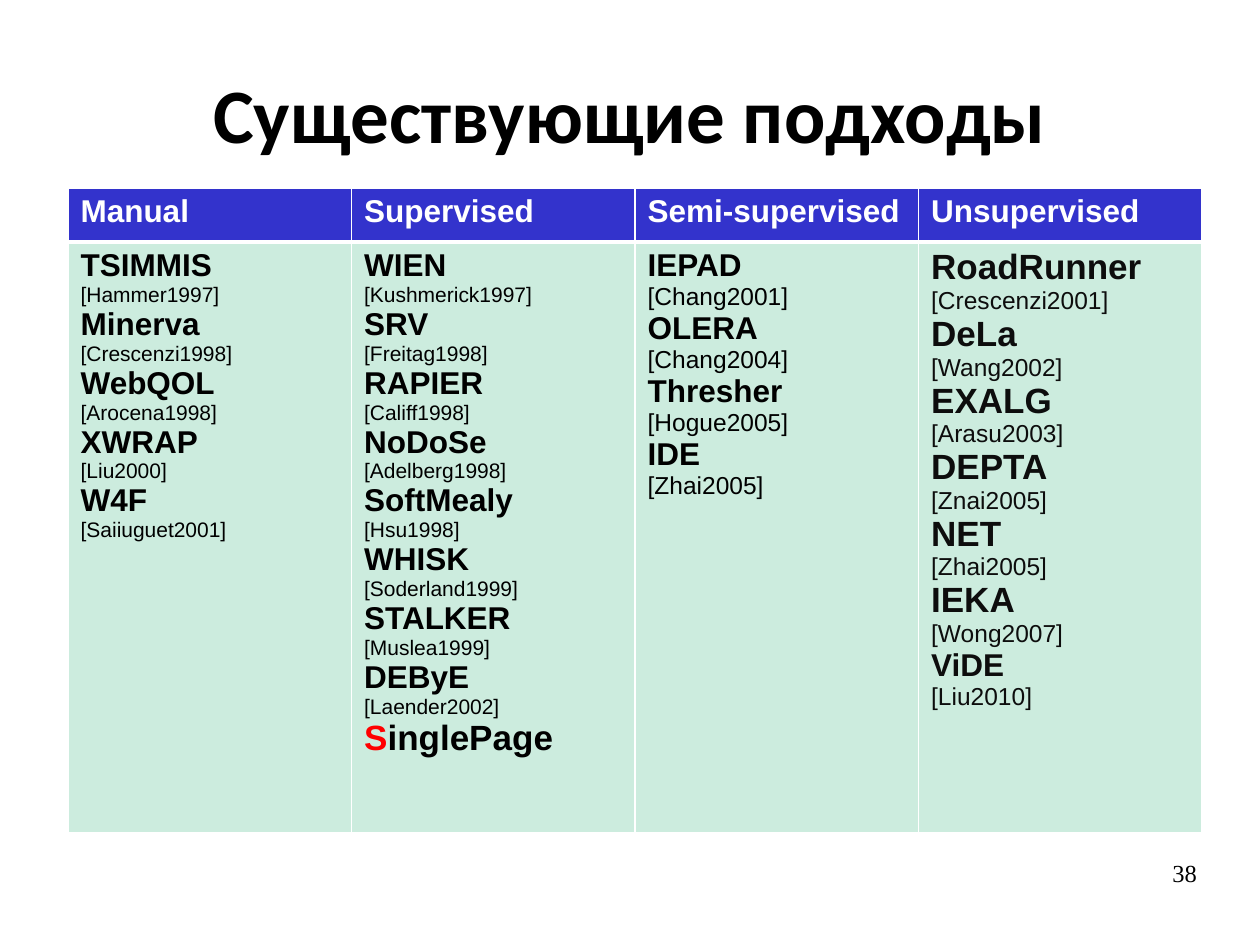
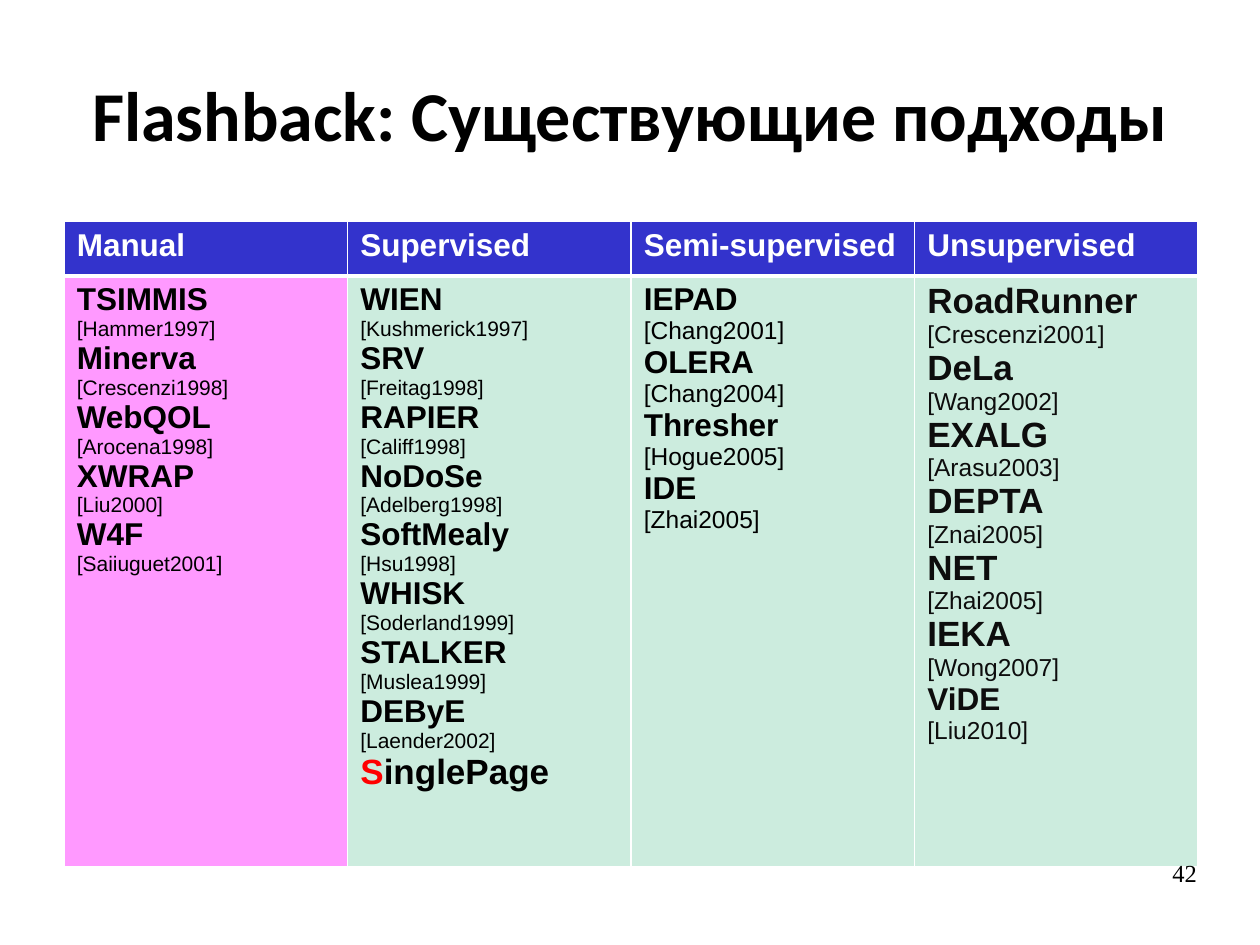
"""Build two slides that compare wrapper induction systems by level of supervision."""
from lxml.etree import SubElement
from pptx import Presentation
from pptx.dml.color import RGBColor
from pptx.enum.text import MSO_ANCHOR, PP_ALIGN
from pptx.oxml.ns import qn
from pptx.util import Inches, Pt

BLACK = RGBColor(0x00, 0x00, 0x00)
NEAR_BLACK = RGBColor(0x0D, 0x0D, 0x0D)
WHITE = RGBColor(0xFF, 0xFF, 0xFF)
RED = RGBColor(0xFF, 0x00, 0x00)
BLUE = RGBColor(0x33, 0x33, 0xCC)
MINT = RGBColor(0xCC, 0xEC, 0xDE)
PINK = RGBColor(0xFF, 0x99, 0xFF)

# heading, name size, reference size, text colour, systems
COLUMNS = [
    ("Manual", 18, 12, BLACK, [
        ("TSIMMIS", "[Hammer1997]"), ("Minerva ", "[Crescenzi1998]"),
        ("WebQOL", "[Arocena1998]"), ("XWRAP", "[Liu2000]"),
        ("W4F", "[Saiiuguet2001]")]),
    ("Supervised", 18, 12, BLACK, [
        ("WIEN", "[Kushmerick1997]"), ("SRV", "[Freitag1998]"),
        ("RAPIER", "[Califf1998]"), ("NoDoSe", "[Adelberg1998]"),
        ("SoftMealy", "[Hsu1998]"), ("WHISK", "[Soderland1999]"),
        ("STALKER", "[Muslea1999]"), ("DEByE", "[Laender2002]"),
        ("SinglePage", "")]),
    ("Semi-supervised", 18, 14, BLACK, [
        ("IEPAD", "[Chang2001]"), ("OLERA", "[Chang2004]"),
        ("Thresher", "[Hogue2005]"), ("IDE", "[Zhai2005]")]),
    ("Unsupervised", 20, 14, NEAR_BLACK, [
        ("RoadRunner", "[Crescenzi2001]"), ("DeLa", "[Wang2002]"),
        ("EXALG", "[Arasu2003]"), ("DEPTA", "[Znai2005]"),
        ("NET", "[Zhai2005]"), ("IEKA", "[Wong2007]"),
        ("ViDE", "[Liu2010]")]),
]
SPECIAL_SIZES = {"SinglePage": 20, "ViDE": 18}

# title, title size, table left, table top, fill of the Manual column, number
SLIDES = [
    ("Существующие подходы", 44, 0.54, 1.49, MINT, "38"),
    ("Flashback: Существующие подходы", 40, 0.51, 1.76, PINK, "42"),
]


def add_run(p, text, size, color, bold=False, font="Arial"):
    r = p.add_run()
    r.text = text
    r.font.name = font
    r.font.size = Pt(size)
    r.font.bold = bold
    r.font.color.rgb = color


def style_cell(cell, fill, bottom_width):
    tc_pr = cell._tc.get_or_add_tcPr()
    for side, width in (("L", 1), ("R", 1), ("T", 1), ("B", bottom_width)):
        line = SubElement(tc_pr, qn(f"a:ln{side}"), w=str(Pt(width)))
        SubElement(SubElement(line, qn("a:solidFill")), qn("a:srgbClr"), val=str(WHITE))
    cell.fill.solid()
    cell.fill.fore_color.rgb = fill


prs = Presentation()
prs.slide_width, prs.slide_height = Inches(10), Inches(7.5)

for title, title_size, left, top, manual_fill, number in SLIDES:
    s = prs.slides.add_slide(prs.slide_layouts[5])

    sp = s.shapes.title
    sp.left, sp.top, sp.width, sp.height = Inches(0.5), Inches(0.3), Inches(9), Inches(1.25)
    tf = sp.text_frame
    tf.margin_left = tf.margin_right = tf.margin_top = tf.margin_bottom = 0
    tf.vertical_anchor = MSO_ANCHOR.MIDDLE
    p = tf.paragraphs[0]
    p.alignment = PP_ALIGN.CENTER
    p.line_spacing = 0.98
    add_run(p, title, title_size, BLACK, True, "Calibri")

    table = s.shapes.add_table(2, len(COLUMNS), Inches(left), Inches(top),
                               Inches(9), Inches(5.12)).table
    table.rows[0].height = Inches(0.43)
    table.rows[1].height = Inches(4.69)

    for col, (heading, name_size, ref_size, color, systems) in enumerate(COLUMNS):
        table.columns[col].width = Inches(2.25)
        header, body = table.cell(0, col), table.cell(1, col)
        style_cell(header, BLUE, 3)
        style_cell(body, manual_fill if heading == "Manual" else MINT, 1)
        add_run(header.text_frame.paragraphs[0], heading, 18, WHITE, True)

        tf = body.text_frame
        for i, (name, ref) in enumerate(systems):
            p = tf.add_paragraph() if i else tf.paragraphs[0]
            size = SPECIAL_SIZES.get(name, name_size)
            if name == "SinglePage":
                add_run(p, name[0], size, RED, True)
                add_run(p, name[1:], size, color, True)
            else:
                add_run(p, name, size, color, True)
            if ref:
                if not name.endswith(" "):
                    p = tf.add_paragraph()
                add_run(p, ref, ref_size, color)

    tf = s.shapes.add_textbox(Inches(7.17), Inches(6.83), Inches(2.33), Inches(0.52)).text_frame
    tf.word_wrap = True
    tf.margin_left = tf.margin_right = tf.margin_top = tf.margin_bottom = 0
    p = tf.paragraphs[0]
    p.alignment = PP_ALIGN.RIGHT
    p.line_spacing = 0.93
    add_run(p, number, 14, BLACK, font="Times New Roman")

prs.save("out.pptx")
